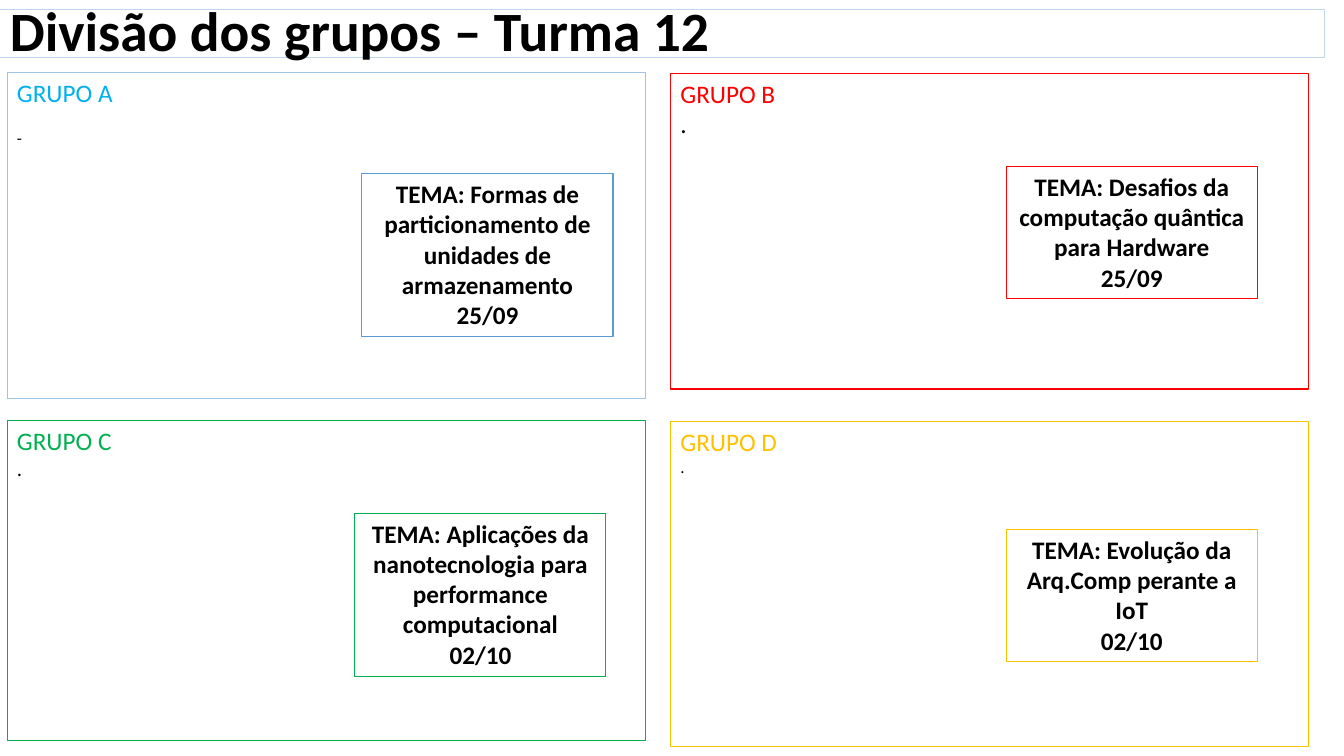
from dataclasses import dataclass

from pptx import Presentation
from pptx.dml.color import RGBColor as Rgb
from pptx.enum.text import MSO_ANCHOR as Anchor, PP_ALIGN as Align
from pptx.util import Inches, Pt

BLACK = "000000"
LEFT, RIGHT = 0.07, 6.65
WIDE, SMALL = 6.33, 2.49


@dataclass
class Box:
    x: float
    y: float
    w: float
    h: float
    line: str


@dataclass
class Group:
    name: str
    box: Box
    ink: str
    mark: str
    size: float
    gap: float
    theme: str
    date: str
    card: Box


GROUPS = [
    Group("GRUPO A", Box(LEFT, 0.72, WIDE, 3.23, "9DC3E6"), "00B0F0", "-", 12, 14.6,
          "TEMA: Formas de particionamento de unidades de armazenamento", "25/09",
          Box(3.59, 1.72, SMALL, 1.62, "5B9BD5")),
    Group("GRUPO B", Box(RIGHT, 0.73, WIDE, 3.13, "FF0000"), "FF0000", ".", 18, 0,
          "TEMA: Desafios da computação quântica para Hardware", "25/09",
          Box(9.98, 1.65, SMALL, 1.31, "FF0000")),
    Group("GRUPO C", Box(LEFT, 4.17, WIDE, 3.18, "00B050"), "00B050", ".", 15, 0,
          "TEMA: Aplicações da nanotecnologia para performance computacional", "02/10",
          Box(3.52, 5.09, SMALL, 1.62, "00B050")),
    Group("GRUPO D", Box(RIGHT, 4.18, WIDE, 3.23, "FFC000"), "FFC000", ".", 12, 0,
          "TEMA: Evolução da Arq.Comp perante a IoT", "02/10",
          Box(9.98, 5.25, SMALL, 1.31, "FFC000")),
]


def color(code: str) -> Rgb:
    return Rgb.from_string(code)


def frame(slide, box: Box, anchor=Anchor.TOP):
    shape = slide.shapes.add_textbox(
        Inches(box.x), Inches(box.y), Inches(box.w), Inches(box.h))
    shape.line.color.rgb = color(box.line)
    shape.line.width = Pt(0.75)
    text = shape.text_frame
    text.word_wrap = True
    text.vertical_anchor = anchor
    return text


def write(par, words: str, size: float, ink: str = BLACK,
          bold: bool = False, align=Align.LEFT) -> None:
    par.alignment = align
    run = par.add_run()
    run.text = words
    font = run.font
    font.name = "Calibri"
    font.size = Pt(size)
    font.bold = bold
    font.color.rgb = color(ink)


def draw_title(slide) -> None:
    text = frame(slide, Box(0, 0.09, 13.14, 0.48, "BDD7EE"), Anchor.MIDDLE)
    par = text.paragraphs[0]
    par.line_spacing = 0.9
    write(par, "Divisão dos grupos – Turma 12", 39.6, bold=True)


def draw_panel(slide, group: Group) -> None:
    text = frame(slide, group.box)
    write(text.paragraphs[0], group.name, 18, group.ink)
    par = text.add_paragraph()
    par.space_before = Pt(group.gap)
    write(par, group.mark, group.size)


def draw_card(slide, group: Group) -> None:
    text = frame(slide, group.card)
    write(text.paragraphs[0], group.theme, 18, bold=True, align=Align.CENTER)
    write(text.add_paragraph(), group.date, 18, bold=True, align=Align.CENTER)


def main() -> None:
    deck = Presentation()
    deck.slide_width = Inches(13.33)
    deck.slide_height = Inches(7.5)
    slide = deck.slides.add_slide(deck.slide_layouts[6])
    draw_title(slide)
    for group in GROUPS:
        draw_panel(slide, group)
    for group in GROUPS:
        draw_card(slide, group)
    deck.save("out.pptx")


if __name__ == "__main__":
    main()
